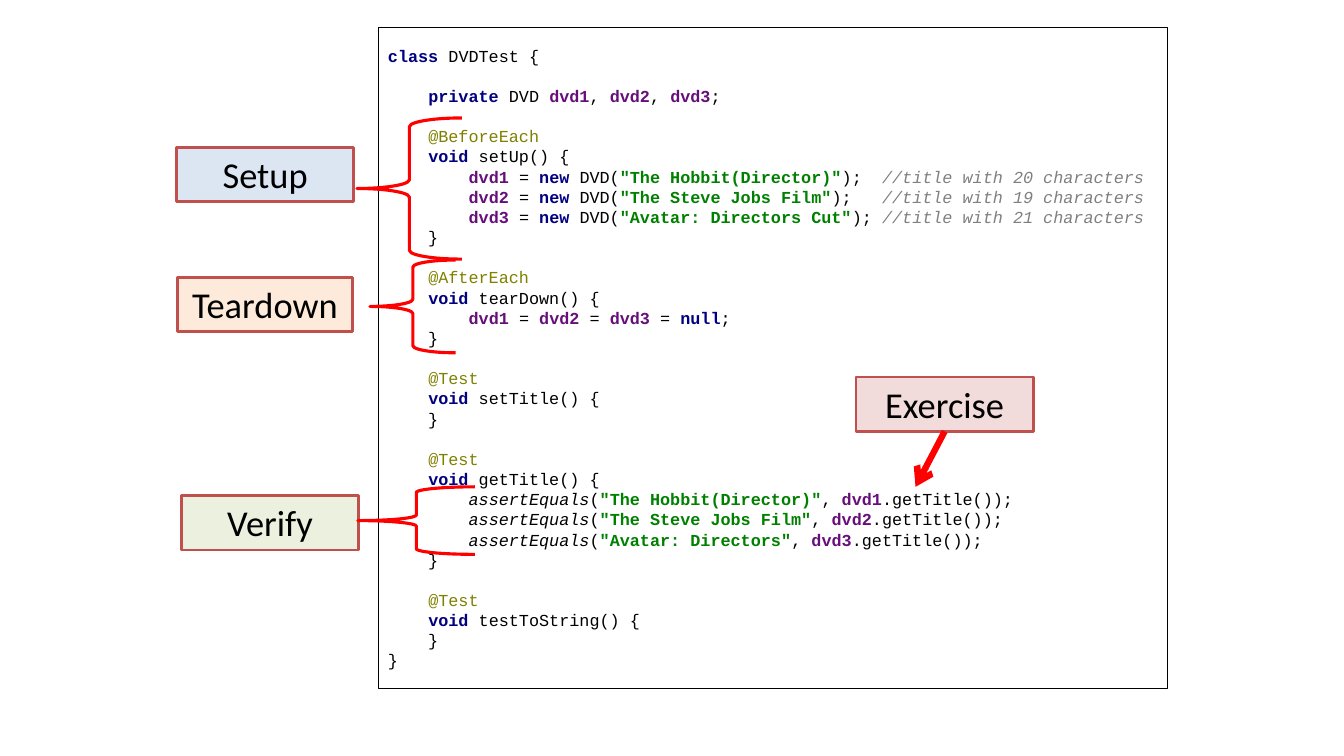
from lxml import etree
from pptx import Presentation
from pptx.dml.color import RGBColor
from pptx.enum.shapes import MSO_CONNECTOR, MSO_SHAPE
from pptx.enum.text import MSO_ANCHOR, PP_ALIGN
from pptx.oxml.ns import qn
from pptx.util import Inches, Pt

RECTANGLE, BRACE = MSO_SHAPE.RECTANGLE, MSO_SHAPE.LEFT_BRACE
STRAIGHT = MSO_CONNECTOR.STRAIGHT
LEFT, CENTER = PP_ALIGN.LEFT, PP_ALIGN.CENTER
TOP, MIDDLE = MSO_ANCHOR.TOP, MSO_ANCHOR.MIDDLE
BOTTOM_SIDE = 2

COLORS = {
    "white": "FFFFFF", "black": "000000", "red": "FF0000", "brick": "C0504D",
    "blue": "DCE6F2", "green": "EBF1DE", "pink": "F2DCDB", "orange": "FDEADA",
    "keyword": "000080", "field": "660E7A", "string": "008000",
    "annotation": "808000", "comment": "808080", "call": "000000",
}

CODE = """class DVDTest {

    private DVD dvd1, dvd2, dvd3;

    @BeforeEach
    void setUp() {
        dvd1 = new DVD("The Hobbit(Director)");  //title with 20 characters
        dvd2 = new DVD("The Steve Jobs Film");   //title with 19 characters
        dvd3 = new DVD("Avatar: Directors Cut"); //title with 21 characters
    }

    @AfterEach
    void tearDown() {
        dvd1 = dvd2 = dvd3 = null;
    }

    @Test
    void setTitle() {
    }

    @Test
    void getTitle() {
        assertEquals("The Hobbit(Director)", dvd1.getTitle());
        assertEquals("The Steve Jobs Film", dvd2.getTitle());
        assertEquals("Avatar: Directors", dvd3.getTitle());
    }

    @Test
    void testToString() {
    }
}"""
CODE_SIZE = 12

# Highlighted terms of each syntax class
TERMS = {
    "keyword": ["class", "private", "void", "new", "null"],
    "field": ["dvd1", "dvd2", "dvd3"],
    "string": ['"The Hobbit(Director)"', '"The Steve Jobs Film"',
               '"Avatar: Directors Cut"', '"Avatar: Directors"'],
    "annotation": ["@BeforeEach", "@AfterEach", "@Test"],
    "comment": [f"//title with {count} characters" for count in (20, 19, 21)],
    "call": ["assertEquals"],
}
SYNTAX = {term: kind for kind, terms in TERMS.items() for term in terms}
BOLD_KINDS = ("keyword", "field", "string")
ITALIC_KINDS = ("comment", "call")
MARK = "¦"

deck = Presentation()
deck.slide_width, deck.slide_height = Inches(13.33), Inches(7.5)
page = deck.slides.add_slide(deck.slide_layouts[6])
COLUMN, ROW = deck.slide_width / 100, deck.slide_height / 100


def add_box(preset, left, top, width, height, fill, line, weight):
    """Add a shape placed in hundredths of the slide's width and height."""
    box = page.shapes.add_shape(preset, int(left * COLUMN), int(top * ROW),
                                int(width * COLUMN), int(height * ROW))
    box.shadow.inherit = False
    if fill:
        box.fill.solid()
        box.fill.fore_color.rgb = RGBColor.from_string(COLORS[fill])
    else:
        box.fill.background()
    box.line.color.rgb = RGBColor.from_string(COLORS[line])
    box.line.width = Pt(weight)
    return box


def add_span(para, text, color, **formats):
    span = para.add_run()
    span.text = text
    for name, value in formats.items():
        setattr(span.font, name, value)
    span.font.color.rgb = RGBColor.from_string(COLORS[color])


# Code listing
listing = add_box(RECTANGLE, 28.13, 3.6, 58.74, 87.47, "white", "black", 0.75)
listing.text_frame.word_wrap = True
listing.text_frame.vertical_anchor = MIDDLE
para = listing.text_frame.paragraphs[0]
para.alignment = LEFT
for number, line in enumerate(CODE.split("\n")):
    if number:
        para.add_line_break()
    for term in SYNTAX:
        line = line.replace(term, MARK + term + MARK)
    for piece in filter(None, line.split(MARK)):
        kind = SYNTAX.get(piece, "black")
        add_span(para, piece, kind, name="Courier New", size=Pt(CODE_SIZE),
                 bold=kind in BOLD_KINDS, italic=kind in ITALIC_KINDS)

# Line breaks take the font of the code, so empty lines keep its height
for line_break in listing.element.iter(qn("a:br")):
    break_font = etree.SubElement(line_break, qn("a:rPr"), sz=str(CODE_SIZE * 100))
    etree.SubElement(break_font, qn("a:latin"), typeface="Courier New")

# Phase labels: left, top, width, fill
LABELS = {
    "Setup": (13.13, 19.47, 13.2, "blue"),
    "Verify": (13.5, 65.55, 13.2, "green"),
    "Exercise": (63.69, 49.87, 13.2, "pink"),
    "Teardown": (13.2, 36.67, 13.05, "orange"),
}
labels = {}
for phase, (left, top, width, fill) in LABELS.items():
    box = add_box(RECTANGLE, left, top, width, 7.2, fill, "brick", 2)
    box.text_frame.word_wrap = True
    box.text_frame.vertical_anchor = TOP
    para = box.text_frame.paragraphs[0]
    para.alignment = CENTER
    add_span(para, phase, "black", name="Calibri", size=Pt(26))
    labels[phase] = box

# Arrow from Exercise to the tested call
arrow = page.shapes.add_connector(STRAIGHT, 0, 0, int(68.12 * COLUMN), int(64.4 * ROW))
arrow.begin_connect(labels["Exercise"], BOTTOM_SIDE)
arrow.line.color.rgb = RGBColor.from_string(COLORS["red"])
arrow.line.width = Pt(4.5)
properties = arrow.element.spPr
etree.SubElement(properties.find(qn("a:ln")), qn("a:tailEnd"), type="arrow")
etree.SubElement(properties, qn("a:effectLst"))

# Braces beside the verify, setup and teardown lines
for place in ((26.63, 64.4, 8.7, 8.93),
              (26.56, 15.6, 7.8, 18.67),
              (27.53, 34.4, 6.38, 12.27)):
    add_box(BRACE, *place, None, "red", 2.25)

deck.save("out.pptx")
